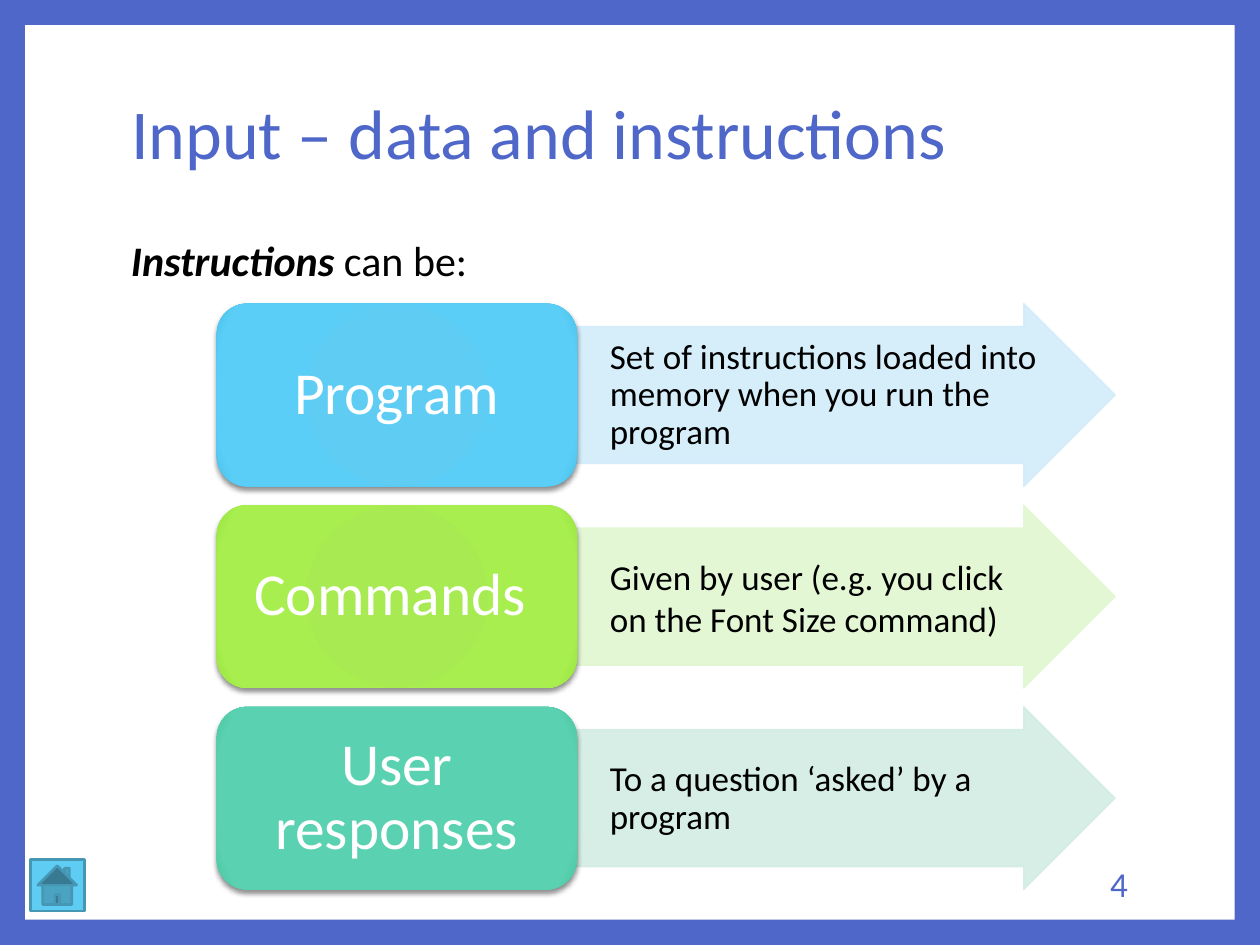
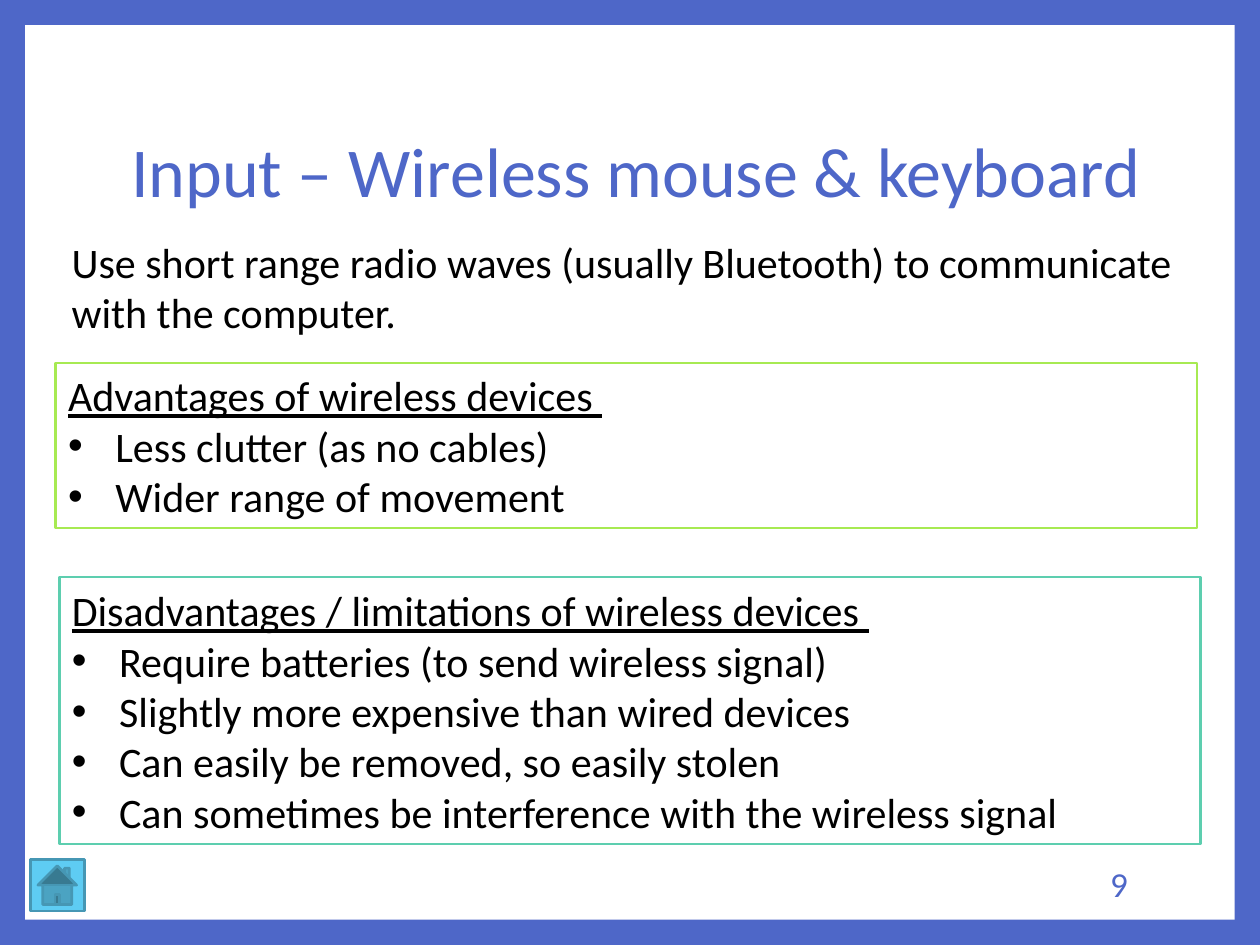
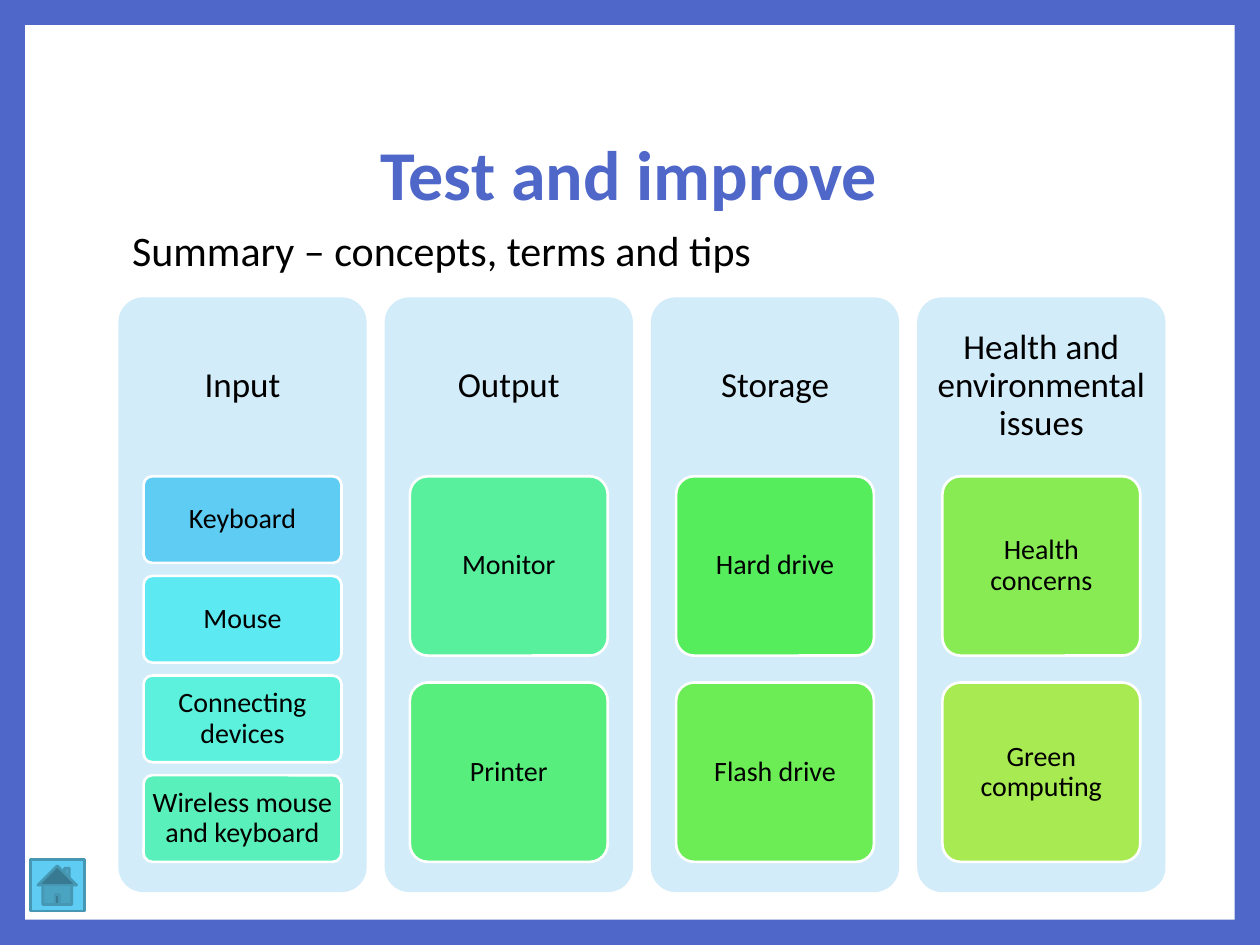
from lxml.etree import SubElement
from pptx import Presentation
from pptx.dml.color import RGBColor
from pptx.enum.shapes import MSO_SHAPE as Preset
from pptx.enum.text import MSO_ANCHOR as Anchor, MSO_AUTO_SIZE as AutoSize, PP_ALIGN as Align
from pptx.oxml import parse_xml
from pptx.oxml.ns import nsdecls, qn
from pptx.util import Inches, Pt

INDIGO = RGBColor(0x4E, 0x67, 0xC8)
WHITE = RGBColor(0xFF, 0xFF, 0xFF)
BLACK = RGBColor(0x00, 0x00, 0x00)
SKY = RGBColor(0x5E, 0xCC, 0xF3)
SKY_MID = RGBColor(0x5A, 0xCE, 0xF7)
SKY_EDGE = RGBColor(0x48, 0xC0, 0xEA)
PALE_SKY = RGBColor(0xD2, 0xEC, 0xFA)
STEEL = RGBColor(0x46, 0x97, 0xB4)
LIME = RGBColor(0xA7, 0xEA, 0x52)
LIME_MID = RGBColor(0xA7, 0xEE, 0x4E)
LIME_EDGE = RGBColor(0x99, 0xE2, 0x3D)
PALE_LIME = RGBColor(0xE1, 0xF7, 0xD1)
TEAL = RGBColor(0x5D, 0xCE, 0xAF)
TEAL_MID = RGBColor(0x5A, 0xD1, 0xB0)
TEAL_EDGE = RGBColor(0x4A, 0xC5, 0xA3)
PALE_TEAL = RGBColor(0xD2, 0xED, 0xE3)
CYAN = RGBColor(0x5D, 0xE9, 0xF2)
AQUA = RGBColor(0x5B, 0xF1, 0xDC)
MINT = RGBColor(0x5A, 0xF0, 0xBC)
SEA_GREEN = RGBColor(0x58, 0xEF, 0x9D)
SPRING = RGBColor(0x57, 0xEE, 0x7D)
GREEN = RGBColor(0x56, 0xED, 0x5D)
LEAF = RGBColor(0x6C, 0xEC, 0x55)
GRASS = RGBColor(0x89, 0xEB, 0x53)

FONT = "Calibri"
TITLE_ONLY, TWO_CONTENT = 5, 3

INSTRUCTIONS = [
    ("Program", "Set of instructions loaded into memory when you run the program",
     (SKY, SKY_MID, SKY_EDGE), PALE_SKY, 0.9),
    ("Commands ", "Given by user (e.g. you click on the Font Size command)",
     (LIME, LIME_MID, LIME_EDGE), PALE_LIME, 1.0),
    ("User responses", "To a question ‘asked’ by a program",
     (TEAL, TEAL_MID, TEAL_EDGE), PALE_TEAL, 0.9),
]
ADVANTAGES = [
    "Advantages of wireless devices ",
    "Less clutter (as no cables)",
    "Wider range of movement",
]
DISADVANTAGES = [
    "Disadvantages / limitations of wireless devices ",
    "Require batteries (to send wireless signal)",
    "Slightly more expensive than wired devices",
    "Can easily be removed, so easily stolen",
    "Can sometimes be interference with the wireless signal",
]
SUMMARY = [
    ("Input", [("Keyboard", SKY), ("Mouse", CYAN), ("Connecting devices", AQUA),
               ("Wireless mouse and keyboard", MINT)]),
    ("Output", [("Monitor", SEA_GREEN), ("Printer", SPRING)]),
    ("Storage", [("Hard drive", GREEN), ("Flash drive", LEAF)]),
    ("Health and environmental issues", [("Health concerns", GRASS), ("Green computing", LIME)]),
]


def place(shape, left, top, width, height):
    shape.left, shape.top = Inches(left), Inches(top)
    shape.width, shape.height = Inches(width), Inches(height)


def set_margins(frame, left, top, right, bottom):
    frame.margin_left, frame.margin_top = Inches(left), Inches(top)
    frame.margin_right, frame.margin_bottom = Inches(right), Inches(bottom)


def format_text(frame, size, color=BLACK, align=Align.LEFT, spacing=1.0):
    frame.word_wrap = True
    frame.auto_size = AutoSize.NONE
    frame.vertical_anchor = Anchor.MIDDLE
    for paragraph in frame.paragraphs:
        paragraph.alignment = align
        paragraph.line_spacing = spacing
        paragraph.space_before = Pt(0)
        for run in paragraph.runs:
            run.font.name = FONT
            run.font.size = Pt(size)
            run.font.color.rgb = color


def add_block(slide, preset, box, fill=None, line=None, line_width=1.5, adjust=()):
    block = slide.shapes.add_shape(preset, *map(Inches, box))
    block.shadow.inherit = False
    for index, value in enumerate(adjust):
        block.adjustments[index] = value
    if fill is not None:
        block.fill.solid()
        block.fill.fore_color.rgb = fill
    if line is None:
        block.line.fill.background()
    else:
        block.line.color.rgb = line
        block.line.width = Pt(line_width)
    return block


def add_label(slide, text, box, size=24, color=BLACK, align=Align.LEFT):
    label = slide.shapes.add_textbox(*map(Inches, box))
    label.text_frame.text = text
    format_text(label.text_frame, size, color, align)
    return label


def set_title(slide, text, box, align=Align.LEFT, bold=False):
    title = slide.shapes.title
    place(title, *box)
    title.text_frame.text = text
    format_text(title.text_frame, 40, INDIGO, align, 0.9)
    title.text_frame.paragraphs[0].runs[0].font.bold = bold
    return title


def add_home_button(slide):
    add_block(slide, Preset.ACTION_BUTTON_HOME, (0.24, 6.82, 0.43, 0.41), SKY, STEEL)


def add_page_number(slide, number):
    add_label(slide, number, (7.65, 6.81, 1.4, 0.4), 20, INDIGO, Align.RIGHT)


def set_up_master(master, slide):
    master.background.fill.solid()
    master.background.fill.fore_color.rgb = INDIGO
    panel = add_block(slide, Preset.RECTANGLE, (0.2, 0.2, 9.6, 7.1), WHITE)
    master.shapes.element.insert(2, panel.element)


def make_translucent(shape, percent):
    for color in shape.element.spPr.iter(qn("a:srgbClr")):
        SubElement(color, qn("a:alpha"), val=str(percent * 1000))


def add_glow_fill(shape, colors):
    stops = "".join(
        f'<a:gs pos="{position}"><a:srgbClr val="{color}"/></a:gs>'
        for position, color in zip((0, 90000, 100000), colors))
    gradient = parse_xml(
        f'<a:gradFill {nsdecls("a")} rotWithShape="1"><a:gsLst>{stops}</a:gsLst>'
        '<a:path path="circle"><a:fillToRect l="100000" t="100000" r="100000" b="100000"/>'
        '</a:path></a:gradFill>')
    properties = shape.element.spPr
    properties.find(qn("a:ln")).addprevious(gradient)
    shadow = SubElement(properties.find(qn("a:effectLst")), qn("a:outerShdw"),
                        blurRad=str(Pt(3)), dist=str(Pt(2)), dir="5400000", rotWithShape="0")
    shade = SubElement(shadow, qn("a:srgbClr"), val=str(BLACK))
    SubElement(shade, qn("a:alpha"), val="45000")


def add_instruction(slide, top, name, meaning, glow, pale, spacing):
    arrow = add_block(slide, Preset.RIGHT_ARROW, (4.57, top, 4.28, 1.45),
                      pale, pale, 0.79, (0.75, 0.5))
    make_translucent(arrow, 90)
    arrow.text_frame.text = meaning
    set_margins(arrow.text_frame, 0.27, 0.02, 0.01, 0.01)
    format_text(arrow.text_frame, 20, spacing=spacing)

    card = add_block(slide, Preset.ROUNDED_RECTANGLE, (1.72, top, 2.86, 1.45))
    add_glow_fill(card, glow)
    card.text_frame.text = name
    set_margins(card.text_frame, 0.14, 0.07, 0.14, 0.07)
    format_text(card.text_frame, 34, WHITE, Align.CENTER, 0.9)


def set_bullet(paragraph, bulleted):
    properties = paragraph._p.get_or_add_pPr()
    indent = Pt(27) if bulleted else 0
    properties.set("marL", str(indent))
    properties.set("indent", str(-indent))
    if bulleted:
        SubElement(properties, qn("a:buFont"), typeface="Arial")
        SubElement(properties, qn("a:buChar"), char="•")
    else:
        SubElement(properties, qn("a:buNone"))


def fill_list(body, lines, box, outline):
    place(body, *box)
    body.fill.solid()
    body.fill.fore_color.rgb = WHITE
    body.line.color.rgb = outline
    body.line.width = Pt(1.5)
    frame = body.text_frame
    frame.text = "\n".join(lines)
    for index, paragraph in enumerate(frame.paragraphs):
        set_bullet(paragraph, index > 0)
    format_text(frame, 24)
    frame.paragraphs[0].runs[0].font.underline = True


def add_summary_column(slide, left, heading, topics):
    column = add_block(slide, Preset.ROUNDED_RECTANGLE, (left, 2.36, 1.97, 4.72),
                       PALE_SKY, adjust=[0.1])
    column.text_frame.text = heading
    set_margins(column.text_frame, 0.02, 0.02, 0.02, 3.33)
    format_text(column.text_frame, 20, align=Align.CENTER, spacing=0.9)

    gap_share = 0.15
    height = 3.06 / (len(topics) + gap_share * (len(topics) - 1))
    for row, (topic, color) in enumerate(topics):
        top = 3.78 + row * height * (1 + gap_share)
        tile = add_block(slide, Preset.ROUNDED_RECTANGLE, (left + 0.2, top, 1.57, height),
                         color, WHITE, adjust=[0.1])
        tile.text_frame.text = topic
        set_margins(tile.text_frame, 0.04, 0.03, 0.04, 0.03)
        format_text(tile.text_frame, 16, align=Align.CENTER, spacing=0.9)


def build_instructions(slide):
    title = set_title(slide, "Input – data and instructions", (0.94, 0.67, 8.1, 1.48))
    title.text_frame.margin_bottom = Inches(0.7)
    intro = add_label(slide, "Instructions ", (0.94, 1.81, 7.05, 0.5))
    opening = intro.text_frame.paragraphs[0]
    opening.add_run().text = "can be:"
    format_text(intro.text_frame, 24)
    opening.runs[0].font.bold = True
    opening.runs[0].font.italic = True
    for row, instruction in enumerate(INSTRUCTIONS):
        add_instruction(slide, 2.41 + 1.6 * row, *instruction)
    add_page_number(slide, "4")
    add_home_button(slide)


def build_wireless(slide):
    set_title(slide, "Input – Wireless mouse & keyboard", (0.94, 0.67, 8.59, 1.43))
    add_label(slide, "Use short range radio waves (usually Bluetooth) to communicate "
              "with the computer.", (0.47, 1.82, 9.06, 0.91))
    fill_list(slide.placeholders[1], ADVANTAGES, (0.44, 2.88, 9.06, 1.31), LIME)
    fill_list(slide.placeholders[2], DISADVANTAGES, (0.47, 4.58, 9.06, 2.12), TEAL)
    add_page_number(slide, "9")
    add_home_button(slide)


def build_summary(slide):
    set_title(slide, "Test and improve", (0.94, 0.67, 8.1, 1.48), Align.CENTER, True)
    add_label(slide, "Summary – concepts, terms and tips", (0.95, 1.73, 8.52, 0.5))
    first_left, last_left = 0.94, 7.28
    pitch = (last_left - first_left) / (len(SUMMARY) - 1)
    for index, (heading, topics) in enumerate(SUMMARY):
        add_summary_column(slide, first_left + pitch * index, heading, topics)
    add_home_button(slide)


def main():
    deck = Presentation()
    deck.slide_width, deck.slide_height = Inches(10), Inches(7.5)
    instructions, wireless, summary = (
        deck.slides.add_slide(deck.slide_layouts[layout])
        for layout in (TITLE_ONLY, TWO_CONTENT, TITLE_ONLY))
    set_up_master(deck.slide_master, instructions)
    build_instructions(instructions)
    build_wireless(wireless)
    build_summary(summary)
    deck.save("out.pptx")


if __name__ == "__main__":
    main()
